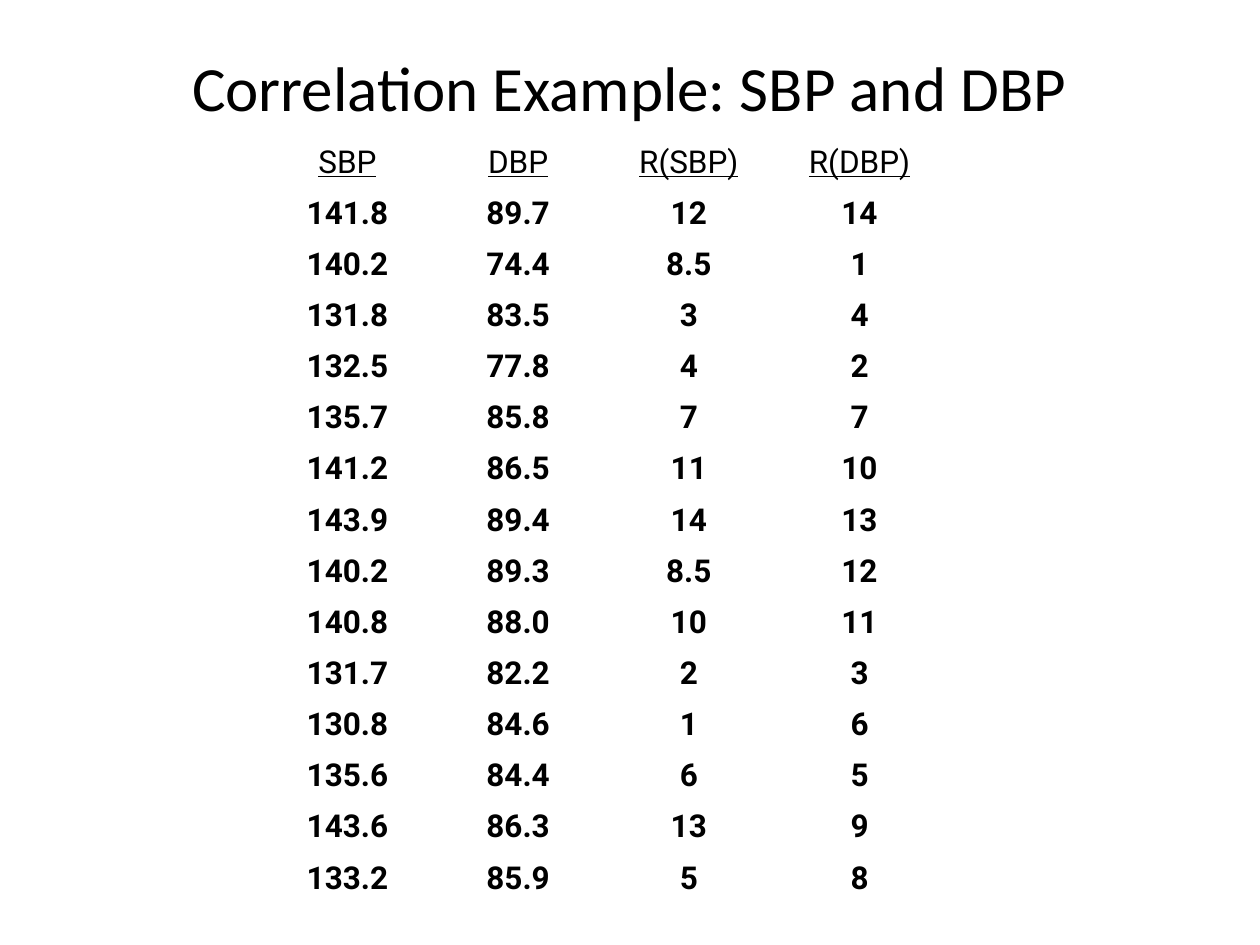
from dataclasses import dataclass

from pptx import Presentation
from pptx.dml.color import RGBColor
from pptx.enum.text import MSO_ANCHOR, PP_ALIGN
from pptx.util import Inches, Pt

CENTER = PP_ALIGN.CENTER
MIDDLE = MSO_ANCHOR.MIDDLE
BOTTOM = MSO_ANCHOR.BOTTOM
TITLE_ONLY = 5

HEADS = ["SBP", "DBP", "R(SBP)", "R(DBP)"]
ROWS = [
    ["141.8", "89.7", "12", "14"],
    ["140.2", "74.4", "8.5", "1"],
    ["131.8", "83.5", "3", "4"],
    ["132.5", "77.8", "4", "2"],
    ["135.7", "85.8", "7", "7"],
    ["141.2", "86.5", "11", "10"],
    ["143.9", "89.4", "14", "13"],
    ["140.2", "89.3", "8.5", "12"],
    ["140.8", "88.0", "10", "11"],
    ["131.7", "82.2", "2", "3"],
    ["130.8", "84.6", "1", "6"],
    ["135.6", "84.4", "6", "5"],
    ["143.6", "86.3", "13", "9"],
    ["133.2", "85.9", "5", "8"],
]


@dataclass(frozen=True)
class Theme:
    ink: RGBColor = RGBColor(0, 0, 0)
    title_font: str = "Calibri"
    table_font: str = "Roboto"
    title_size: int = 36
    table_size: int = 18


class Deck:
    def __init__(self, slide, theme):
        self.slide = slide
        self.theme = theme

    def label(self, frame, text, face, size, bold=False, under=False):
        frame.text = text
        para = frame.paragraphs[0]
        para.alignment = CENTER
        font = para.runs[0].font
        font.name = face
        font.size = Pt(size)
        font.bold = bold
        font.underline = under
        font.color.rgb = self.theme.ink

    def title(self, text, left, top, width, height):
        shape = self.slide.shapes.title
        shape.left, shape.top = Inches(left), Inches(top)
        shape.width, shape.height = Inches(width), Inches(height)
        shape.text_frame.vertical_anchor = MIDDLE
        self.label(shape.text_frame, text, self.theme.title_font, self.theme.title_size)

    def table(self, heads, rows, left, top, width, height):
        lines = [heads, *rows]
        table = self.slide.shapes.add_table(
            len(lines), len(heads),
            Inches(left), Inches(top), Inches(width), Inches(height),
        ).table
        table.first_row = False
        table.horz_banding = False
        for r, line in enumerate(lines):
            for c, text in enumerate(line):
                self.cell(table.cell(r, c), text, r == 0)

    def cell(self, cell, text, head):
        cell.fill.background()
        cell.vertical_anchor = BOTTOM
        cell.margin_left = cell.margin_right = Inches(0.01)
        cell.margin_top = cell.margin_bottom = Inches(0.05)
        self.label(
            cell.text_frame, text, self.theme.table_font, self.theme.table_size,
            bold=not head, under=head,
        )


def main():
    prs = Presentation()
    prs.slide_width, prs.slide_height = Inches(10), Inches(7.5)
    slide = prs.slides.add_slide(prs.slide_layouts[TITLE_ONLY])
    deck = Deck(slide, Theme())
    deck.title("Correlation Example: SBP and DBP", 0.33, 0.25, 9.33, 0.87)
    deck.table(HEADS, ROWS, 2.08, 1.08, 5.42, 6.09)
    prs.save("out.pptx")


if __name__ == "__main__":
    main()
